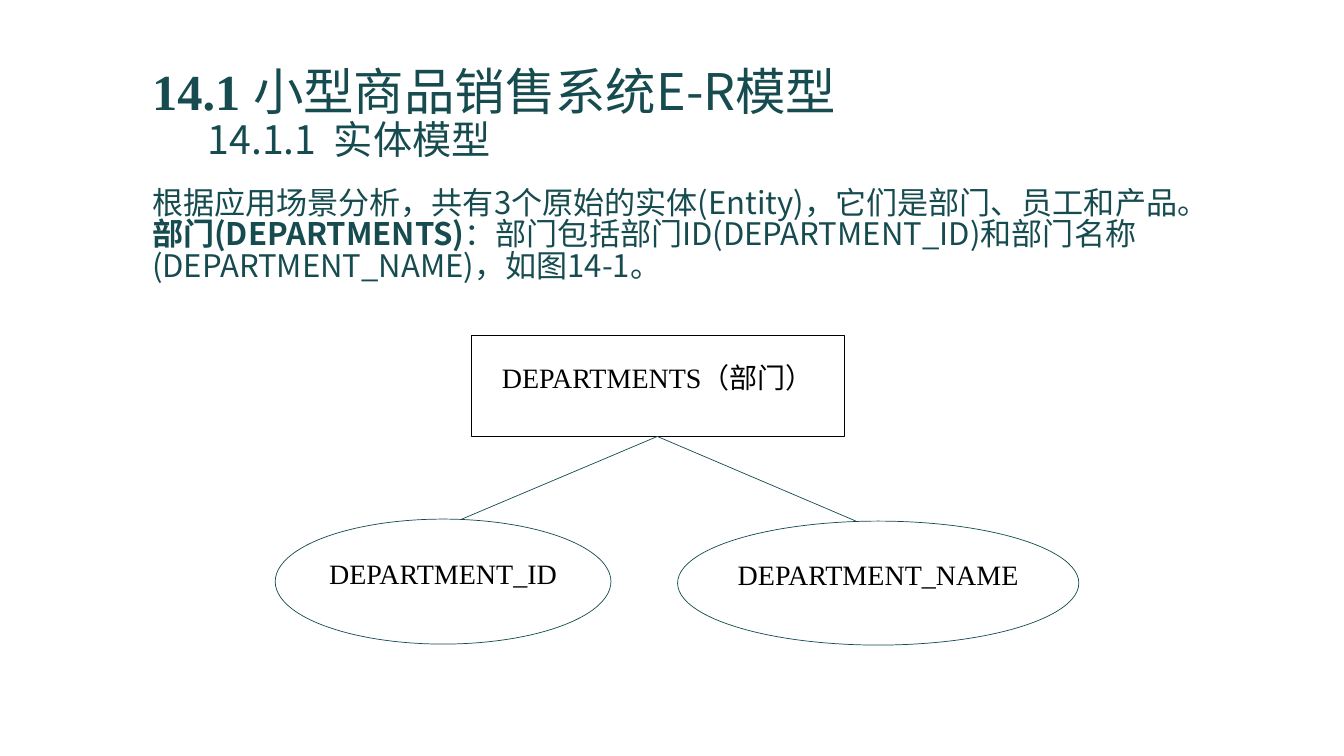
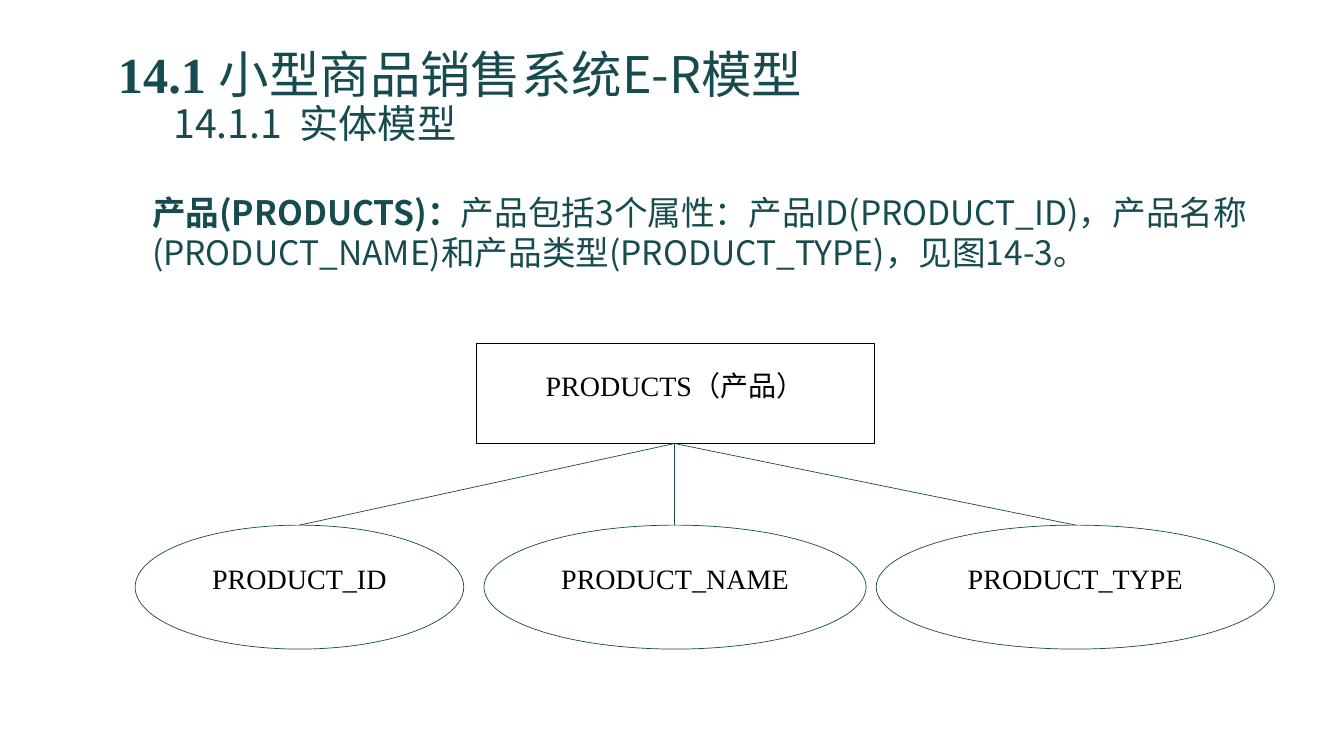
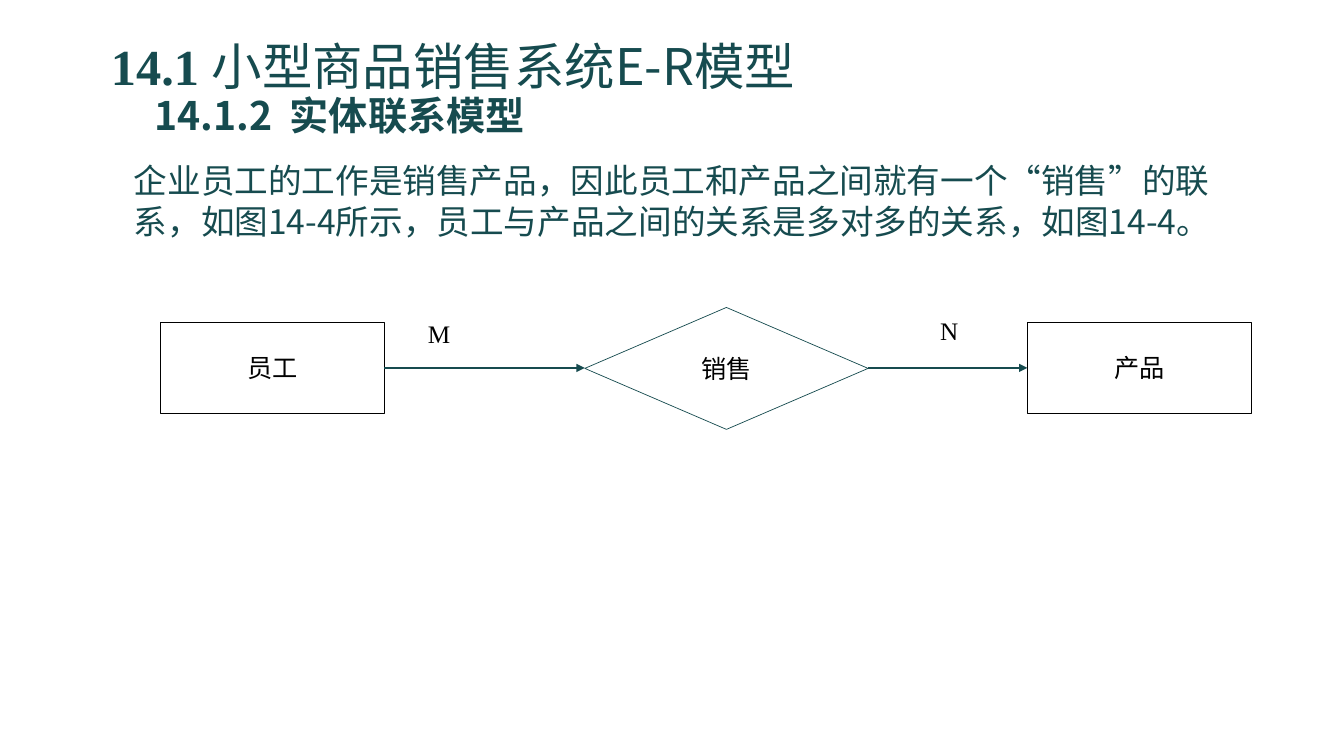
from lxml import etree
from pptx import Presentation
from pptx.dml.color import RGBColor
from pptx.enum.shapes import MSO_CONNECTOR, MSO_SHAPE
from pptx.enum.text import MSO_ANCHOR, MSO_AUTO_SIZE, PP_ALIGN
from pptx.oxml.ns import qn
from pptx.util import Emu, Pt

TEAL = RGBColor(0x16, 0x4B, 0x4F)
BLACK = RGBColor(0, 0, 0)
WHITE = RGBColor(0xFF, 0xFF, 0xFF)
SANS = "Noto Sans CJK SC"
SERIF = "Times New Roman"
LEFT, CENTER = PP_ALIGN.LEFT, PP_ALIGN.CENTER
MIDDLE, BOTTOM = MSO_ANCHOR.MIDDLE, MSO_ANCHOR.BOTTOM
NO_FIT = MSO_AUTO_SIZE.NONE
RECT, OVAL = MSO_SHAPE.RECTANGLE, MSO_SHAPE.OVAL
DIAMOND = MSO_SHAPE.FLOWCHART_DECISION
STRAIGHT = MSO_CONNECTOR.STRAIGHT
SCALE = 9144


def px(n):
    return Emu(n * SCALE)


def style(font, size, color, name=SANS, bold=False):
    font.size = Pt(size)
    font.color.rgb = color
    font.name = name
    font.bold = bold
    east = etree.SubElement(font._rPr, qn("a:ea"))
    east.set("typeface", SANS)


def add_run(para, text, size, name=SANS, bold=False):
    run = para.add_run()
    run.text = text
    style(run.font, size, TEAL, name, bold)
    return run


def add_title(slide, box, number, topic, indent, bold=False):
    title = slide.shapes.title
    title.left, title.top, title.width, title.height = map(px, box)
    frame = title.text_frame
    frame.auto_size = NO_FIT
    frame.word_wrap = True
    frame.vertical_anchor = BOTTOM
    head = frame.paragraphs[0]
    add_run(head, "14.1 ", 36, SERIF, True)
    add_run(head, "小型商品销售系统E-R模型", 36)
    sub = frame.add_paragraph()
    add_run(sub, number, 28, bold=bold)
    gap = add_run(sub, " ", 28, bold=bold)
    gap.font._rPr.set("spc", "630")
    add_run(sub, topic, 28, bold=bold)
    sub.space_before = Pt(0)
    sub._p.get_or_add_pPr().set("marL", str(px(indent)))
    for para in (head, sub):
        para.alignment = LEFT
        para.line_spacing = 0.9


def add_body(slide, box, parts, size, spacing):
    frame = slide.shapes.add_textbox(*map(px, box)).text_frame
    frame.word_wrap = True
    para = frame.paragraphs[0]
    para.line_spacing = spacing
    for text, bold in parts:
        add_run(para, text, size, bold=bold)


def put_label(shape, text, size, spacing=None):
    frame = shape.text_frame
    frame.word_wrap = True
    frame.vertical_anchor = MIDDLE
    frame.margin_left = frame.margin_right = 0
    frame.margin_top = frame.margin_bottom = 0
    para = frame.paragraphs[0]
    para.text = text
    para.alignment = CENTER
    para.line_spacing = spacing
    style(para.font, size, BLACK, SERIF)


def add_node(slide, kind, box, text, size, spacing=None):
    node = slide.shapes.add_shape(kind, *map(px, box))
    node.shadow.inherit = False
    if kind == DIAMOND:
        node.fill.background()
    else:
        node.fill.solid()
        node.fill.fore_color.rgb = WHITE
    node.line.color.rgb = BLACK if kind == RECT else TEAL
    node.line.width = Pt(0.5)
    put_label(node, text, size, spacing)


def add_line(slide, start, end, width=0.5, arrow=False):
    line = slide.shapes.add_connector(STRAIGHT, *map(px, start + end))
    line.line.color.rgb = TEAL
    line.line.width = Pt(width)
    if arrow:
        tail = etree.SubElement(line.line._get_or_add_ln(), qn("a:tailEnd"))
        tail.set("type", "triangle")
    etree.SubElement(line._element.spPr, qn("a:effectLst"))


def add_tree(slide, name, box, leaves):
    left, top, width, height = box
    root = (left + width // 2, top + height)
    add_node(slide, RECT, box, name, 20, Pt(12))
    for text, place, foot in leaves:
        add_node(slide, OVAL, place, text, 20, Pt(12))
        add_line(slide, root, (foot, place[1]))


def add_tag(slide, left, top, text):
    put_label(slide.shapes.add_textbox(*map(px, (left, top, 77, 45))), text, 18)


def make_dept(slide):
    add_title(slide, (141, 42, 1050, 125), "14.1.1", "实体模型", 55)
    add_body(slide, (141, 183, 1050, 129), [
        ("根据应用场景分析，共有3个原始的实体(Entity)，它们是部门、员工和产品。", False),
        ("部门(DEPARTMENTS)", True),
        ("：部门包括部门ID(DEPARTMENT_ID)和部门名称(DEPARTMENT_NAME)，如图14-1。", False),
    ], 22.2, 0.84)
    add_tree(slide, "DEPARTMENTS（部门）", (468, 333, 369, 100), [
        ("DEPARTMENT_ID", (273, 515, 333, 124), 458),
        ("DEPARTMENT_NAME", (672, 517, 398, 123), 849),
    ])


def make_goods(slide):
    add_title(slide, (107, 26, 1050, 125), "14.1.1", "实体模型", 55)
    add_body(slide, (141, 185, 1116, 143), [
        ("产品(PRODUCTS)：", True),
        ("产品包括3个属性：产品ID(PRODUCT_ID)，产品名称(PRODUCT_NAME)"
         "和产品类型(PRODUCT_TYPE)，见图14-3。", False),
    ], 24, 1.0)
    add_tree(slide, "PRODUCTS（产品）", (472, 341, 395, 99), [
        ("PRODUCT_ID", (134, 521, 326, 123), 297),
        ("PRODUCT_NAME", (480, 521, 379, 123), 669),
        ("PRODUCT_TYPE", (869, 521, 395, 123), 1067),
    ])


def make_sale(slide):
    add_title(slide, (100, 1, 1050, 142), "14.1.2", "实体联系模型", 43, True)
    add_body(slide, (123, 154, 1116, 143), [
        ("企业员工的工作是销售产品，因此员工和产品之间就有一个“销售”的联系，"
         "如图14-4所示，员工与产品之间的关系是多对多的关系，如图14-4。", False),
    ], 24, 1.0)
    add_node(slide, RECT, (159, 320, 222, 90), "员工", 18)
    add_node(slide, DIAMOND, (580, 305, 281, 121), "销售", 18)
    add_node(slide, RECT, (1019, 320, 222, 90), "产品", 18)
    for start, end in ((381, 580), (861, 1019)):
        add_line(slide, (start, 365), (end, 365), 1.5, True)
    add_tag(slide, 397, 308, "M")
    add_tag(slide, 903, 305, "N")


def main():
    deck = Presentation()
    deck.slide_width, deck.slide_height = px(1333), px(750)
    layout = deck.slide_layouts[5]
    for make in (make_dept, make_goods, make_sale):
        make(deck.slides.add_slide(layout))
    deck.save("out.pptx")


if __name__ == "__main__":
    main()
